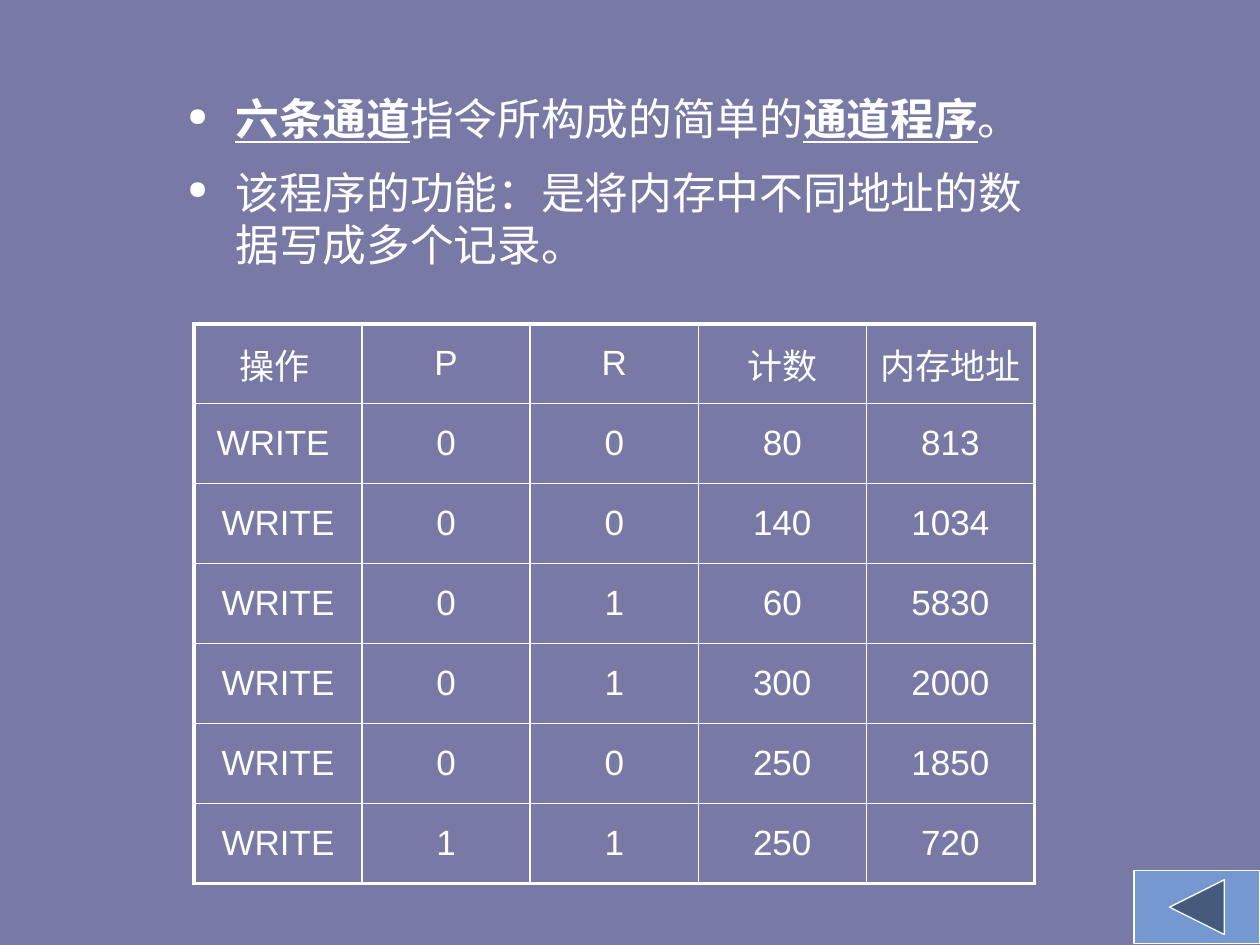
import dataclasses

import lxml.etree
import pptx
import pptx.dml.color
import pptx.enum.shapes
import pptx.enum.text
import pptx.oxml.ns
import pptx.util


@dataclasses.dataclass(frozen=True)
class Theme:
    background: str = "7979A5"
    ink: str = "FFFFFF"
    button: str = "7499D0"
    font: str = "Arial"
    body_size: float = 25
    table_size: float = 20
    thin: float = 1
    thick: float = 2.25
    button_line: float = 0.75


@dataclasses.dataclass(frozen=True)
class Box:
    left: float
    top: float
    width: float
    height: float

    def emu(self):
        return (cols(self.left), rows(self.top), cols(self.width), rows(self.height))


THEME = Theme()
GRID = 100
SLIDE_W = pptx.util.Inches(10)
SLIDE_H = pptx.util.Inches(7.5)

INTRO_BOX = Box(13.9, 9.07, 70.7, 20.4)
TABLE_BOX = Box(15.4, 34.27, 66.7, 59.2)
BUTTON_BOX = Box(90, 92.13, 10, 7.73)

INTRO = [
    [("六条通道", True), ("指令所构成的简单的", False), ("通道程序", True), ("。", False)],
    [("该程序的功能：是将内存中不同地址的数据写成多个记录。", False)],
]
COMMANDS = [
    ["操作 ", "P", "R", "计数", "内存地址"],
    ["WRITE ", "0", "0", "80", "813"],
    ["WRITE", "0", "0", "140", "1034"],
    ["WRITE", "0", "1", "60", "5830"],
    ["WRITE", "0", "1", "300", "2000"],
    ["WRITE", "0", "0", "250", "1850"],
    ["WRITE", "1", "1", "250", "720"],
]


def cols(n):
    return round(SLIDE_W * n / GRID)


def rows(n):
    return round(SLIDE_H * n / GRID)


def rgb(color):
    return pptx.dml.color.RGBColor.from_string(color)


def sub(parent, tag, **attrs):
    return lxml.etree.SubElement(parent, pptx.oxml.ns.qn(tag), attrs)


def add_text(p, text, *, size, color=THEME.ink, bold=False, underline=False):
    r = p.add_run()
    r.text = text
    r.font.name = THEME.font
    r.font.size = pptx.util.Pt(size)
    r.font.color.rgb = rgb(color)
    r.font.bold = bold
    r.font.underline = underline


def add_bullet(p, indent):
    pPr = p._p.get_or_add_pPr()
    pPr.set("marL", str(indent))
    pPr.set("indent", str(-indent))
    sub(pPr, "a:buSzPct", val="58000")
    sub(pPr, "a:buChar", char="●")


def add_borders(cell, widths):
    tcPr = cell._tc.get_or_add_tcPr()
    for side, width in widths.items():
        ln = sub(tcPr, f"a:ln{side}", w=str(pptx.util.Pt(width)))
        sub(sub(ln, "a:solidFill"), "a:srgbClr", val=THEME.ink)


def add_intro(s, box):
    tf = s.shapes.add_textbox(*box.emu()).text_frame
    tf.word_wrap = True
    tf.auto_size = pptx.enum.text.MSO_AUTO_SIZE.SHAPE_TO_FIT_TEXT
    for i, parts in enumerate(INTRO):
        p = tf.add_paragraph() if i else tf.paragraphs[0]
        add_bullet(p, cols(3.8))
        p.space_after = pptx.util.Pt(12)
        for text, key in parts:
            add_text(p, text, size=THEME.body_size, bold=key, underline=key)


def add_commands(s, box):
    n_rows, n_cols = len(COMMANDS), len(COMMANDS[0])
    table = s.shapes.add_table(n_rows, n_cols, *box.emu()).table
    table.first_row = False
    table.horz_banding = False
    for column in table.columns:
        column.width = cols(box.width / n_cols)
    for i, values in enumerate(COMMANDS):
        table.rows[i].height = rows(box.height / n_rows)
        for j, value in enumerate(values):
            cell = table.cell(i, j)
            outer = {"L": j == 0, "R": j == n_cols - 1, "T": i == 0, "B": i == n_rows - 1}
            add_borders(cell, {k: THEME.thick if v else THEME.thin for k, v in outer.items()})
            cell.fill.background()
            cell.vertical_anchor = pptx.enum.text.MSO_ANCHOR.MIDDLE
            p = cell.text_frame.paragraphs[0]
            p.alignment = pptx.enum.text.PP_ALIGN.CENTER
            add_text(p, value, size=THEME.table_size)


def add_back_button(s, box):
    kind = pptx.enum.shapes.MSO_SHAPE.ACTION_BUTTON_BACK_OR_PREVIOUS
    sp = s.shapes.add_shape(kind, *box.emu())
    sp.shadow.inherit = False
    sp.fill.solid()
    sp.fill.fore_color.rgb = rgb(THEME.button)
    sp.line.color.rgb = rgb(THEME.ink)
    sp.line.width = pptx.util.Pt(THEME.button_line)


def main():
    prs = pptx.Presentation()
    prs.slide_width, prs.slide_height = SLIDE_W, SLIDE_H
    s = prs.slides.add_slide(prs.slide_layouts[6])
    s.background.fill.solid()
    s.background.fill.fore_color.rgb = rgb(THEME.background)
    add_commands(s, TABLE_BOX)
    add_back_button(s, BUTTON_BOX)
    add_intro(s, INTRO_BOX)
    prs.save("out.pptx")


if __name__ == "__main__":
    main()
